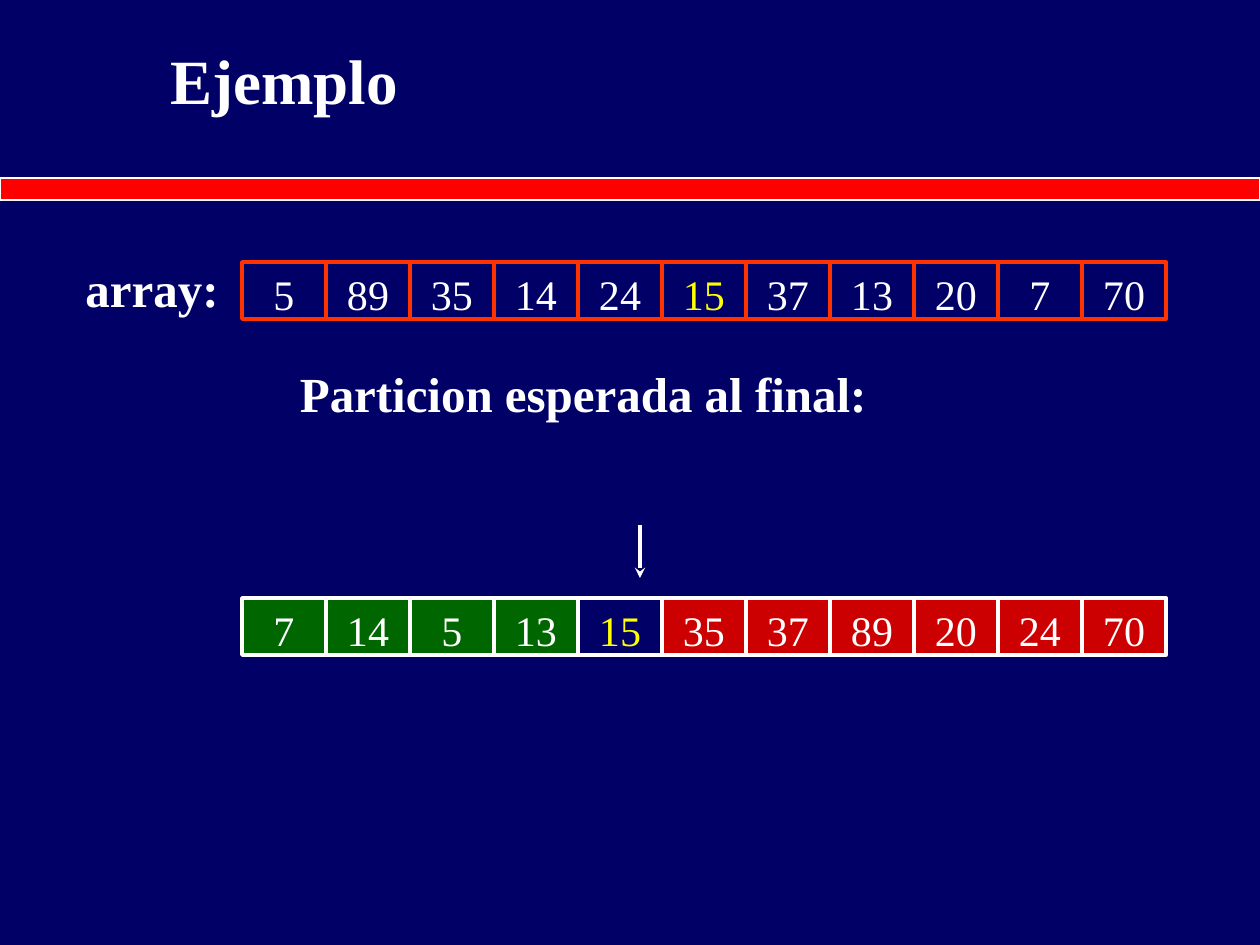
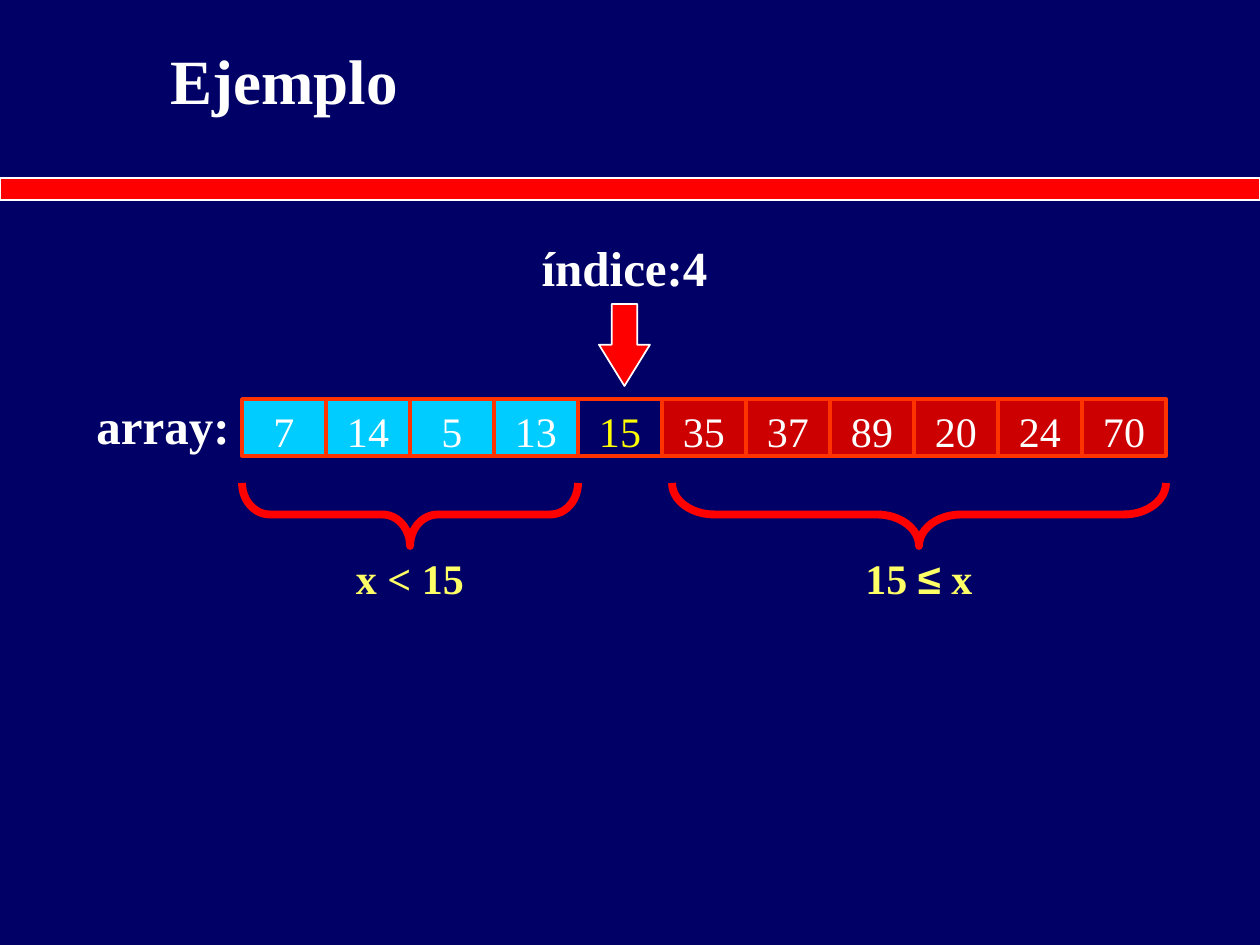
from lxml import etree
from pptx import Presentation
from pptx import util as u
from pptx.dml.color import RGBColor
from pptx.enum import shapes, text
from pptx.oxml.ns import qn

PX = 914400 / 126
PAGE_WIDTH, PAGE_HEIGHT = 1260, 945
CELL_WIDTH, CELL_HEIGHT = 84, 57
ROW_LEFT = 242
LABEL_HEIGHT = 72
SERIF, SANS = "Times New Roman", "Arial"
PIVOT = 15

NAVY = RGBColor(0x00, 0x00, 0x66)
RED = RGBColor(0xFF, 0x00, 0x00)
ORANGE = RGBColor(0xFF, 0x33, 0x00)
CRIMSON = RGBColor(0xCC, 0x00, 0x00)
GREEN = RGBColor(0x00, 0x66, 0x00)
CYAN = RGBColor(0x00, 0xCC, 0xFF)
WHITE = RGBColor(0xFF, 0xFF, 0xFF)
YELLOW = RGBColor(0xFF, 0xFF, 0x00)
PALE_YELLOW = RGBColor(0xFF, 0xFF, 0x66)

LEFT, CENTER, RIGHT = (text.PP_ALIGN.LEFT, text.PP_ALIGN.CENTER, text.PP_ALIGN.RIGHT)
TITLE = {"size": u.Pt(36), "bold": True, "color": WHITE}
LABEL = {"size": u.Pt(28), "bold": True, "color": WHITE}
CONDITION = {"size": u.Pt(24), "bold": True, "color": PALE_YELLOW}
VALUE = {"size": u.Pt(24), "color": WHITE}
PIVOT_VALUE = {**VALUE, "color": YELLOW}

UNSORTED = [5, 89, 35, 14, 24, 15, 37, 13, 20, 7, 70]
PARTITIONED = [7, 14, 5, 13, 15, 35, 37, 89, 20, 24, 70]


def emu(*lengths):
    """Turn px lengths into EMU."""
    return [u.Emu(round(length * PX)) for length in lengths]


def write(shape, spans, style, align, anchor=text.MSO_ANCHOR.TOP, **frame_format):
    """Write (text, font) spans as the one paragraph of a shape."""
    frame = shape.text_frame
    settings = {"word_wrap": True, "vertical_anchor": anchor, **frame_format}
    for name, value in settings.items():
        setattr(frame, name, value)
    para = frame.paragraphs[0]
    para.alignment = align
    for content, font_name in spans:
        span = para.add_run()
        span.text = content
        for name, value in {**style, "name": font_name}.items():
            if name == "color":
                span.font.color.rgb = value
            else:
                setattr(span.font, name, value)


def add_text(page, box, spans, style, align, **frame_format):
    """Add a text box."""
    shape = page.shapes.add_textbox(*emu(*box))
    write(shape, spans, style, align, **frame_format)


def add_figure(page, kind, box, fill, line, width):
    """Add a flat preset shape; no fill colour leaves it hollow."""
    shape = page.shapes.add_shape(kind, *emu(*box))
    shape.shadow.inherit = False
    if fill is None:
        shape.fill.background()
    else:
        shape.fill.solid()
        shape.fill.fore_color.rgb = fill
    shape.line.color.rgb = line
    shape.line.width = u.Pt(width)
    return shape


def add_page(deck, title):
    """Add a blank page with the red band and its title."""
    page = deck.slides.add_slide(deck.slide_layouts[6])
    band = (0, 178, PAGE_WIDTH, 22)
    add_figure(page, shapes.MSO_SHAPE.RECTANGLE, band, RED, WHITE, 1)
    add_text(page, (158, 0, 1071, 158), [(title, SERIF)], TITLE, LEFT,
             anchor=text.MSO_ANCHOR.MIDDLE)
    return page


def add_array(page, left, top, values, line, low=None, high=None):
    """Draw a row of cells, coloured by their side of the pivot."""
    pivot_at = values.index(PIVOT)
    for index, value in enumerate(values):
        box = (left + index * CELL_WIDTH, top, CELL_WIDTH, CELL_HEIGHT)
        fill = NAVY if index == pivot_at else low if index < pivot_at else high
        cell = add_figure(page, shapes.MSO_SHAPE.RECTANGLE, box, fill, line, 2)
        style = PIVOT_VALUE if index == pivot_at else VALUE
        write(cell, [(str(value), SERIF)], style, CENTER, margin_bottom=0)


def add_array_name(page, right, row_top):
    """Name the row of cells whose top is given."""
    left = 21
    add_text(page, (left, row_top - 10, right - left, LABEL_HEIGHT),
             [("array:", SERIF)], LABEL, RIGHT)


def add_pointer(page, x, top, bottom):
    """Draw a thin arrow pointing down."""
    arrow = page.shapes.add_connector(
        shapes.MSO_CONNECTOR.STRAIGHT, *emu(x, top, x, bottom))
    arrow.line.color.rgb = WHITE
    arrow.line.width = u.Pt(2)
    line = arrow.line._get_or_add_ln()
    etree.SubElement(line, qn("a:tailEnd"), type="stealth")
    etree.SubElement(arrow._element.spPr, qn("a:effectLst"))


def add_index_marker(page, left, top, width, caption):
    """Draw a caption with a block arrow under its middle."""
    add_text(page, (left, top, width, LABEL_HEIGHT), [(caption, SERIF)], LABEL, CENTER)
    arrow_width = 51
    box = (left + (width - arrow_width) / 2, top + 73, arrow_width, 82)
    arrow = add_figure(page, shapes.MSO_SHAPE.DOWN_ARROW, box, RED, WHITE, 1)
    arrow.adjustments[0], arrow.adjustments[1] = 0.5, 0.81


def add_brace(page, left, top, width, curve, spans):
    """Draw a brace that opens upwards, with a condition below it."""
    depth = 63
    shift = (width - depth) / 2
    box = (left + shift, top - shift, depth, width)
    brace = add_figure(page, shapes.MSO_SHAPE.RIGHT_BRACE, box, None, RED, 4.5)
    brace.rotation = 90
    brace.adjustments[0] = curve
    label_width = 0.59 * width
    label = (left + (width - label_width) / 2, top + depth, label_width, depth)
    add_text(page, label, spans, CONDITION, CENTER)


def build_expected_partition(deck):
    """Show the array before and after the partition."""
    page = add_page(deck, "Ejemplo")
    row_top = 262
    add_array_name(page, 231, row_top)
    add_array(page, ROW_LEFT, row_top, UNSORTED, ORANGE)
    add_text(page, (26, 357, 853, LABEL_HEIGHT),
             [("Particion esperada al final:", SERIF)], LABEL, RIGHT)
    add_pointer(page, 640, 525, 578)
    add_array(page, ROW_LEFT, 598, PARTITIONED, WHITE, GREEN, CRIMSON)


def build_pivot_index(deck):
    """Show the pivot index and the condition on each side."""
    page = add_page(deck, "Ejemplo")
    row_top = 399
    add_index_marker(page, 451, 231, 347, "índice:4")
    add_array_name(page, ROW_LEFT, row_top)
    add_array(page, ROW_LEFT, row_top, PARTITIONED, ORANGE, CYAN, CRIMSON)
    brace_top = row_top + 84
    add_brace(page, ROW_LEFT, brace_top, 336, 0.44, [("x < 15", SERIF)])
    add_brace(page, 672, brace_top, 494, 0.67,
              [("15 ", SERIF), ("≤", SANS), (" x", SERIF)])


def main():
    """Build and save the deck."""
    deck = Presentation()
    deck.slide_width, deck.slide_height = emu(PAGE_WIDTH, PAGE_HEIGHT)
    background = deck.slide_master.background.fill
    background.solid()
    background.fore_color.rgb = NAVY
    build_expected_partition(deck)
    build_pivot_index(deck)
    deck.save("out.pptx")


if __name__ == "__main__":
    main()
